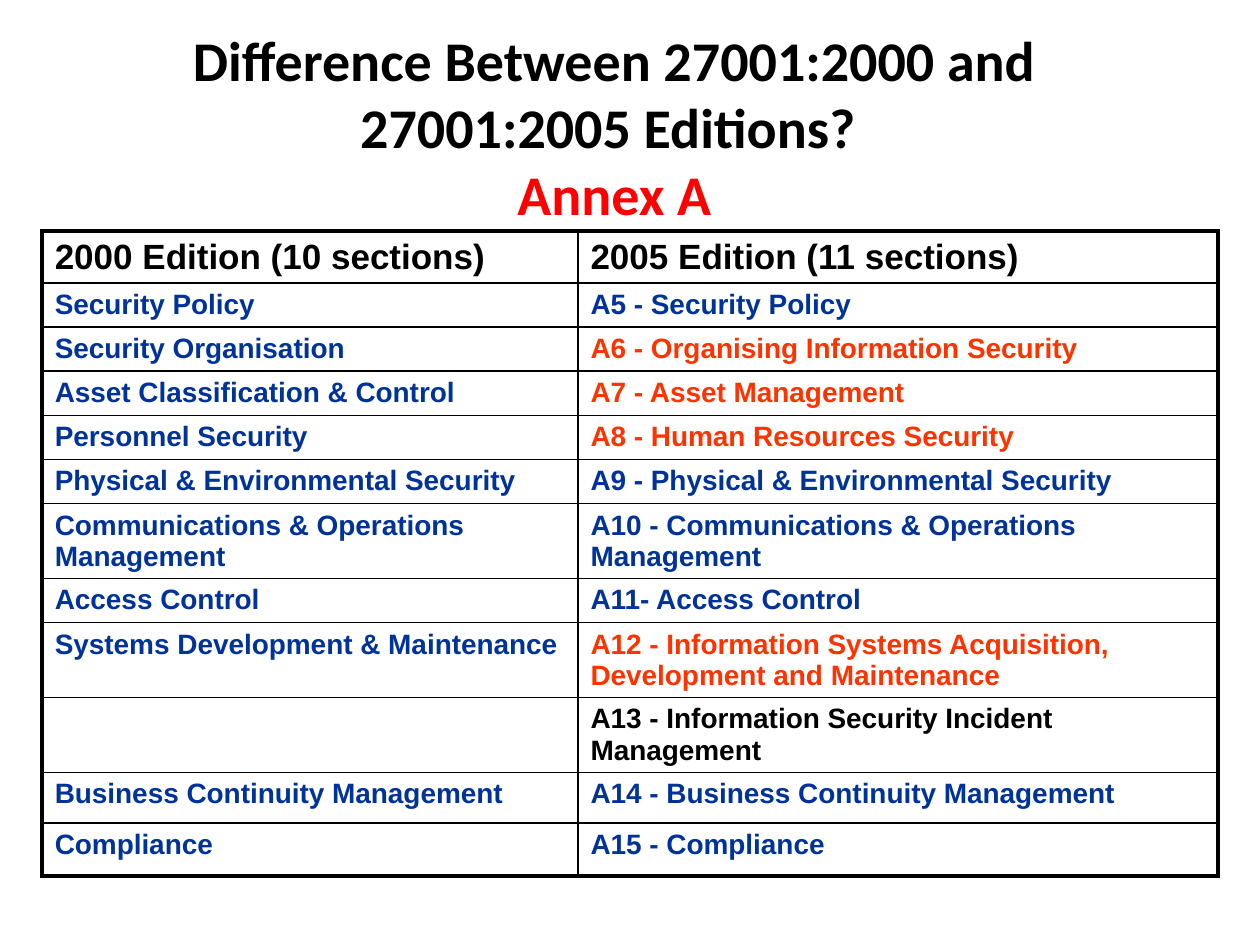
from dataclasses import dataclass

from lxml.etree import SubElement
from pptx import Presentation
from pptx.dml.color import RGBColor
from pptx.enum.text import MSO_ANCHOR, MSO_AUTO_SIZE, PP_ALIGN
from pptx.oxml.ns import qn
from pptx.util import Cm, Pt


@dataclass(frozen=True)
class Theme:
    black: str = "000000"
    red: str = "FF0000"
    unchanged: str = "003399"
    renamed: str = "FF3300"
    title_font: str = "Calibri"
    table_font: str = "Arial"
    title_size: float = 32
    header_size: float = 20
    body_size: float = 16
    outer_line: float = 2.25
    inner_line: float = 1


THEME = Theme()
COLUMN_WIDTHS = (10.8, 12.9)
HEADER = ("2000 Edition (10 sections)", "2005 Edition (11 sections)")

# 2000 section, 2005 section, colour of the 2005 section, row height in cm
SECTIONS = [
    ("Security Policy", "A5 - Security Policy", THEME.unchanged, 0.89),
    ("Security Organisation", "A6 - Organising Information Security", THEME.renamed, 0.89),
    ("Asset Classification & Control", "A7 - Asset Management", THEME.renamed, 0.89),
    ("Personnel Security", "A8 - Human Resources Security", THEME.renamed, 0.89),
    ("Physical & Environmental Security", "A9 - Physical & Environmental Security",
     THEME.unchanged, 0.89),
    ("Communications & Operations Management",
     "A10 - Communications & Operations Management", THEME.unchanged, 0.94),
    ("Access Control", "A11- Access Control", THEME.unchanged, 0.89),
    ("Systems Development & Maintenance",
     "A12 - Information Systems Acquisition, Development and Maintenance",
     THEME.renamed, 0.94),
    ("", "A13 - Information Security Incident Management", THEME.black, 0.89),
    ("Business Continuity Management", "A14 - Business Continuity Management",
     THEME.unchanged, 1.02),
    ("Compliance", "A15 - Compliance", THEME.unchanged, 1.07),
]


def format_span(span, font, size, color):
    span.font.name = font
    span.font.size = Pt(size)
    span.font.bold = True
    span.font.color.rgb = RGBColor.from_string(color)


def add_title(slide):
    title = slide.shapes.title
    title.left, title.top, title.width, title.height = Cm(1.27), Cm(0.85), Cm(22.23), Cm(3.39)
    frame = title.text_frame
    frame.auto_size = MSO_AUTO_SIZE.NONE
    frame.vertical_anchor = MSO_ANCHOR.MIDDLE
    para = frame.paragraphs[0]
    para.text = "Difference Between 27001:2000 and 27001:2005 Editions? \vAnnex A"
    para.alignment = PP_ALIGN.CENTER
    for span, color in zip(para.runs, (THEME.black, THEME.red)):
        format_span(span, THEME.title_font, THEME.title_size, color)


def set_borders(cell, outer_sides):
    """Draw all four borders, heavier on the sides at the table's edge."""
    properties = cell._tc.get_or_add_tcPr()
    for position, side in enumerate("LRTB"):
        points = THEME.outer_line if side in outer_sides else THEME.inner_line
        line = SubElement(properties, qn(f"a:ln{side}"), w=str(Pt(points)))
        fill = SubElement(line, qn("a:solidFill"))
        SubElement(fill, qn("a:srgbClr"), val=THEME.black)
        properties.insert(position, line)


def fill_cell(cell, text, size, color, outer_sides):
    cell.fill.background()
    set_borders(cell, outer_sides)
    para = cell.text_frame.paragraphs[0]
    para.text = text
    for span in para.runs:
        format_span(span, THEME.table_font, size, color)


def add_comparison_table(slide):
    row_count = len(SECTIONS) + 1
    height = Cm(13.61)
    shape = slide.shapes.add_table(row_count, 2, Cm(0.85), Cm(4.66),
                                   Cm(sum(COLUMN_WIDTHS)), height)
    table = shape.table
    table.first_row = table.horz_banding = False
    for column, width in zip(table.columns, COLUMN_WIDTHS):
        column.width = Cm(width)

    rows = [(HEADER, (THEME.black, THEME.black), THEME.header_size, 1.02)]
    rows += [((old, new), (THEME.unchanged, color), THEME.body_size, row_height)
             for old, new, color, row_height in SECTIONS]
    for index, (texts, colors, size, row_height) in enumerate(rows):
        table.rows[index].height = Cm(row_height)
        edge = {0: "T", row_count - 1: "B"}.get(index, "")
        for column, (text, color) in enumerate(zip(texts, colors)):
            fill_cell(table.cell(index, column), text, size, color, "LR"[column] + edge)
    shape.height = height


def main():
    deck = Presentation()
    deck.slide_width, deck.slide_height = Cm(25.4), Cm(19.05)
    slide = deck.slides.add_slide(deck.slide_layouts[5])
    add_title(slide)
    add_comparison_table(slide)
    deck.save("out.pptx")


if __name__ == "__main__":
    main()
